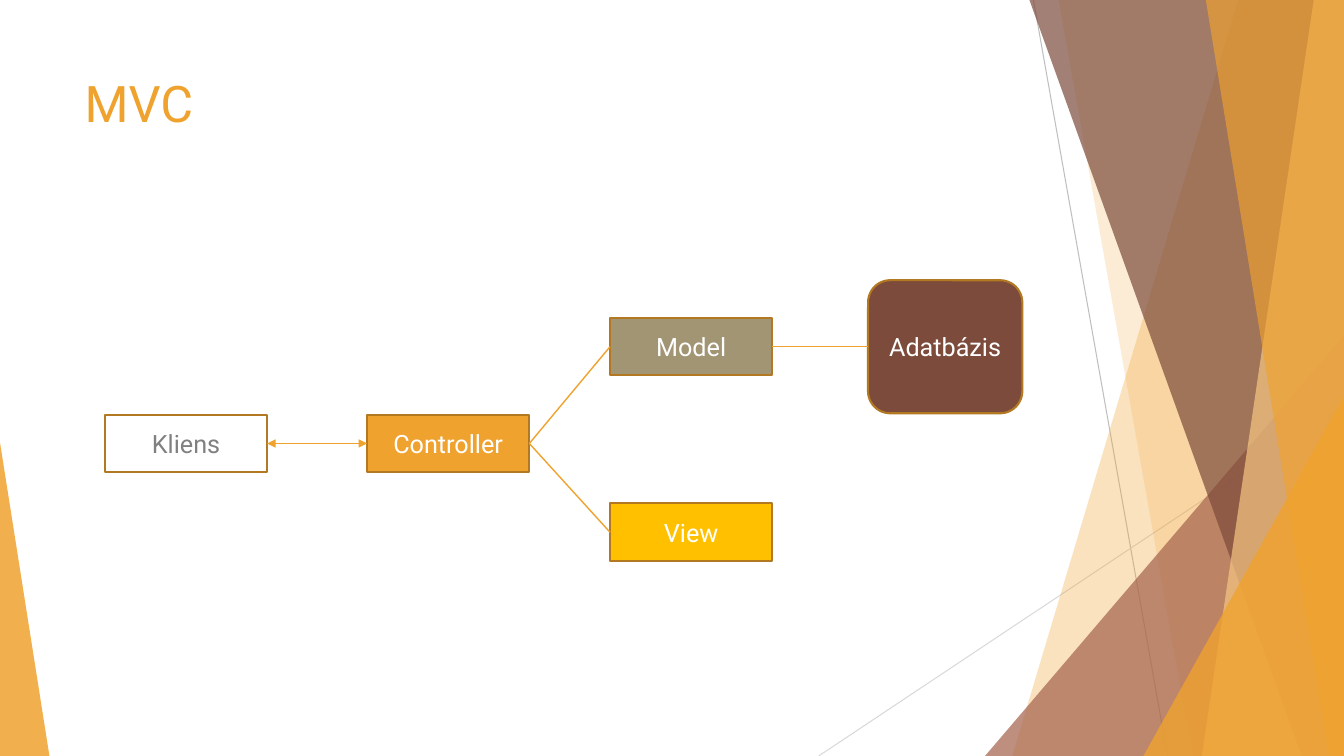
from collections import namedtuple

from pptx import Presentation
from pptx.dml.color import RGBColor
from pptx.enum.shapes import MSO_CONNECTOR, MSO_SHAPE
from pptx.enum.text import MSO_ANCHOR, PP_ALIGN
from pptx.oxml.ns import qn
from pptx.util import Inches, Pt
from lxml.etree import SubElement

Box = namedtuple("Box", "left top width height")


class Theme:
    font = "Roboto"
    title_size, label_size = 36, 18
    accent, sand, brown, rust = "F0A22E", "F6C782", "7C4B3B", "A5644E"
    olive, gold, border = "A19574", "FFC000", "B27822"
    white, grey = "FFFFFF", "808080"
    line_dark, line_light = "BFBFBF", "D9D9D9"
    border_width, link_width, hairline = 1.5, 1, 0.75


def set_all(target, values):
    for name, value in values.items():
        setattr(target, name, value)


def set_fill(shape, color, opacity=100):
    shape.shadow.inherit = False
    shape.fill.solid()
    shape.fill.fore_color.rgb = RGBColor.from_string(color)
    if opacity < 100:
        color_node = shape.fill._xPr.find(qn("a:solidFill"))[0]
        SubElement(color_node, qn("a:alpha"), val=str(opacity * 1000))


def set_line(shape, color, width):
    shape.line.color.rgb = RGBColor.from_string(color)
    shape.line.width = Pt(width)


def set_text(frame, text, size, color, align, anchor):
    set_all(frame, {"text": text, "word_wrap": True, "vertical_anchor": anchor})
    paragraph = frame.paragraphs[0]
    paragraph.alignment = align
    font = paragraph.runs[0].font
    set_all(font, {"name": Theme.font, "size": Pt(size), "bold": False})
    font.color.rgb = RGBColor.from_string(color)


def add_line(slide, start, end, color, width):
    points = [Inches(value) for value in (*start, *end)]
    connector = slide.shapes.add_connector(MSO_CONNECTOR.STRAIGHT, *points)
    set_line(connector, color, width)
    SubElement(connector._element.spPr, qn("a:effectLst"))
    return connector


def add_band(slide, box, top_x, bottom_x, color, opacity):
    """Slanted left edge, filled as far as the right edge of the box."""
    right, bottom = box.left + box.width, box.top + box.height
    corners = [(top_x, box.top), (right, box.top), (right, bottom), (bottom_x, bottom)]
    points = [(Inches(x), Inches(y)) for x, y in corners]
    builder = slide.shapes.build_freeform(*points[0])
    builder.add_line_segments(points[1:], close=True)
    shape = builder.convert_to_shape()
    set_fill(shape, color, opacity)
    shape.line.fill.background()


def add_corner(slide, box, width, height, apex, color, opacity):
    """Right triangle in a bottom corner: apex 0 is left, 1 is right."""
    left = box.left + apex * (box.width - width)
    top = box.top + box.height - height
    shape = slide.shapes.add_shape(
        MSO_SHAPE.ISOSCELES_TRIANGLE, *map(Inches, (left, top, width, height)))
    shape.adjustments[0] = apex
    set_fill(shape, color, opacity)
    shape.line.fill.background()


def add_decoration(slide, box):
    right, bottom = box.left + box.width, box.top + box.height
    # Thin crossing lines
    add_line(slide, (right - 3.08, box.top), (right - 1.75, bottom),
             Theme.line_dark, Theme.hairline)
    add_line(slide, (right, bottom - 3.47), (right - 5.21, bottom),
             Theme.line_light, Theme.hairline)
    # Translucent facets, back to front; x values count from the right edge
    facets = [
        (add_band, 1.05, 3.29, Theme.accent, 30),
        (add_band, 2.83, 1.5, Theme.accent, 20),
        (add_corner, 3.56, 4.17, Theme.rust, 72),
        (add_band, 3.12, 0.42, Theme.brown, 70),
        (add_band, 0.3, 1.41, Theme.sand, 70),
        (add_band, 1.37, 0.15, Theme.accent, 65),
        (add_corner, 1.99, 3.57, Theme.accent, 80),
    ]
    for draw, first, second, color, opacity in facets:
        if draw is add_band:
            add_band(slide, box, right - first, right - second, color, opacity)
        else:
            add_corner(slide, box, first, second, 1, color, opacity)
    # Left corner
    add_corner(slide, box, 0.49, 3.11, 0, Theme.accent, 85)


def add_title(slide, box, text):
    title = slide.shapes.title
    set_all(title, dict(zip(box._fields, map(Inches, box))))
    set_text(title.text_frame, text, Theme.title_size, Theme.accent,
             PP_ALIGN.LEFT, MSO_ANCHOR.TOP)


def add_diagram(slide, box):
    node_size, store_size = (1.61, 0.57), (1.53, 1.32)
    rect, rounded = MSO_SHAPE.RECTANGLE, MSO_SHAPE.ROUNDED_RECTANGLE
    # Nodes: left and vertical centre within the box
    nodes = [
        ("Controller", 2.6, 1.62, rect, node_size, Theme.accent, Theme.white),
        ("Model", 5.01, 0.66, rect, node_size, Theme.olive, Theme.white),
        ("Adatbázis", 7.57, 0.66, rounded, store_size, Theme.brown, Theme.white),
        ("View", 5.01, 2.5, rect, node_size, Theme.gold, Theme.white),
        ("Kliens", 0, 1.62, rect, node_size, Theme.white, Theme.grey),
    ]
    shapes = {}
    for label, left, middle, kind, (width, height), fill, color in nodes:
        place = (box.left + left, box.top + middle - height / 2, width, height)
        shape = slide.shapes.add_shape(kind, *map(Inches, place))
        set_fill(shape, fill)
        set_line(shape, Theme.border, Theme.border_width)
        set_text(shape.text_frame, label, Theme.label_size, color,
                 PP_ALIGN.CENTER, MSO_ANCHOR.MIDDLE)
        shapes[label] = shape

    # Links from right side to left side
    left_site, right_site = 1, 3
    links = [("Kliens", "Controller", True), ("Controller", "Model", False),
             ("Controller", "View", False), ("Model", "Adatbázis", False)]
    for source, target, arrows in links:
        link = add_line(slide, (0, 0), (0, 0), Theme.accent, Theme.link_width)
        link.begin_connect(shapes[source], right_site)
        link.end_connect(shapes[target], left_site)
        if arrows:
            for end in ("a:headEnd", "a:tailEnd"):
                SubElement(link.line._get_or_add_ln(), qn(end), type="triangle")


def build_mvc_slide(presentation, box):
    title_only = presentation.slide_layouts[5]
    slide = presentation.slides.add_slide(title_only)
    add_decoration(slide, box)
    add_title(slide, Box(box.left + 0.74, box.top + 0.67, 9.4, 1.44), "MVC")
    add_diagram(slide, Box(box.left + 1.04, box.top + 2.78, 9.1, 2.78))


presentation = Presentation()
page = Box(0, 0, 13.33, 7.5)
set_all(presentation, {"slide_width": Inches(page.width),
                       "slide_height": Inches(page.height)})
build_mvc_slide(presentation, page)
presentation.save("out.pptx")
